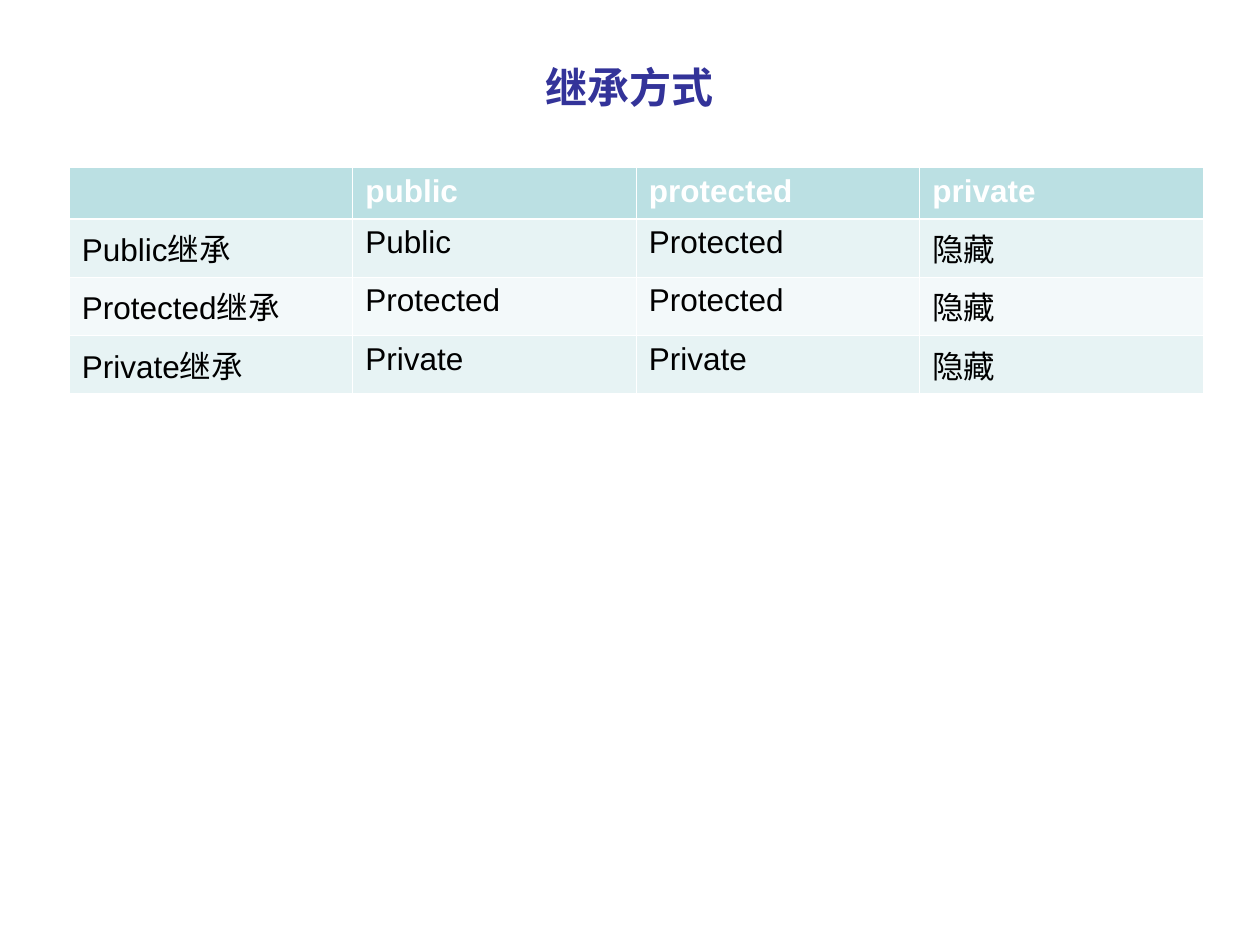
import pptx
import pptx.dml.color
import pptx.enum.text
import pptx.oxml
import pptx.oxml.ns
import pptx.util
from pptx.util import Inches

RGBColor = pptx.dml.color.RGBColor
TITLE_BLUE = RGBColor(0x33, 0x33, 0x99)
WHITE = RGBColor(0xFF, 0xFF, 0xFF)
BLACK = RGBColor(0x00, 0x00, 0x00)
HEADER_FILL = RGBColor(0xBB, 0xE0, 0xE3)
BAND_FILLS = (RGBColor(0xE7, 0xF3, 0xF4), RGBColor(0xF3, 0xF9, 0xFA))

THIN, THICK = 0.45, 1.47
ROWS = (
    ("", "public", "protected", "private"),
    ("Public继承", "Public", "Protected", "隐藏"),
    ("Protected继承", "Protected", "Protected", "隐藏"),
    ("Private继承", "Private", "Private", "隐藏"),
)


def set_font(font, color, **values):
    for name, value in {"name": "Arial", **values}.items():
        setattr(font, name, value)
    font.color.rgb = color


def add_title(s, text):
    sp = s.shapes.title
    box = {"left": 0.5, "top": 0.3, "width": 9, "height": 0.77}
    for name, value in box.items():
        setattr(sp, name, Inches(value))
    tf = sp.text_frame
    tf.text = text
    tf.vertical_anchor = pptx.enum.text.MSO_ANCHOR.MIDDLE
    p = tf.paragraphs[0]
    p.alignment = pptx.enum.text.PP_ALIGN.CENTER
    set_font(p.runs[0].font, TITLE_BLUE, size=pptx.util.Pt(24), bold=True)


def set_borders(cell, widths):
    tcPr = cell._tc.get_or_add_tcPr()
    for side, width in widths.items():
        tcPr.append(pptx.oxml.parse_xml(
            f'<a:ln{side} {pptx.oxml.ns.nsdecls("a")} w="{pptx.util.Pt(width)}">'
            f'<a:solidFill><a:srgbClr val="{WHITE}"/></a:solidFill></a:ln{side}>'))


def format_cell(cell, text, row):
    header = row == 0
    # Borders come before the fill in the cell properties
    set_borders(cell, {"L": THIN, "R": THIN,
                       "T": THICK if row == 1 else THIN,
                       "B": THICK if header else THIN})
    cell.fill.solid()
    cell.fill.fore_color.rgb = HEADER_FILL if header else BAND_FILLS[(row - 1) % 2]
    p = cell.text_frame.paragraphs[0]
    if text:
        r = p.add_run()
        r.text = text
        set_font(r.font, WHITE if header else BLACK,
                 size=pptx.util.Pt(18), bold=header)


def add_inheritance_table(s):
    frame = s.shapes.add_table(len(ROWS), len(ROWS[0]), Inches(0.55), Inches(1.33),
                               Inches(9), Inches(1.62))
    for i, row in enumerate(ROWS):
        for j, text in enumerate(row):
            format_cell(frame.table.cell(i, j), text, i)


def main():
    prs = pptx.Presentation()
    prs.slide_width, prs.slide_height = Inches(10), Inches(7.5)
    s = prs.slides.add_slide(prs.slide_layouts[5])

    # Heading and access table
    add_title(s, "继承方式")
    add_inheritance_table(s)
    prs.save("out.pptx")


if __name__ == "__main__":
    main()
